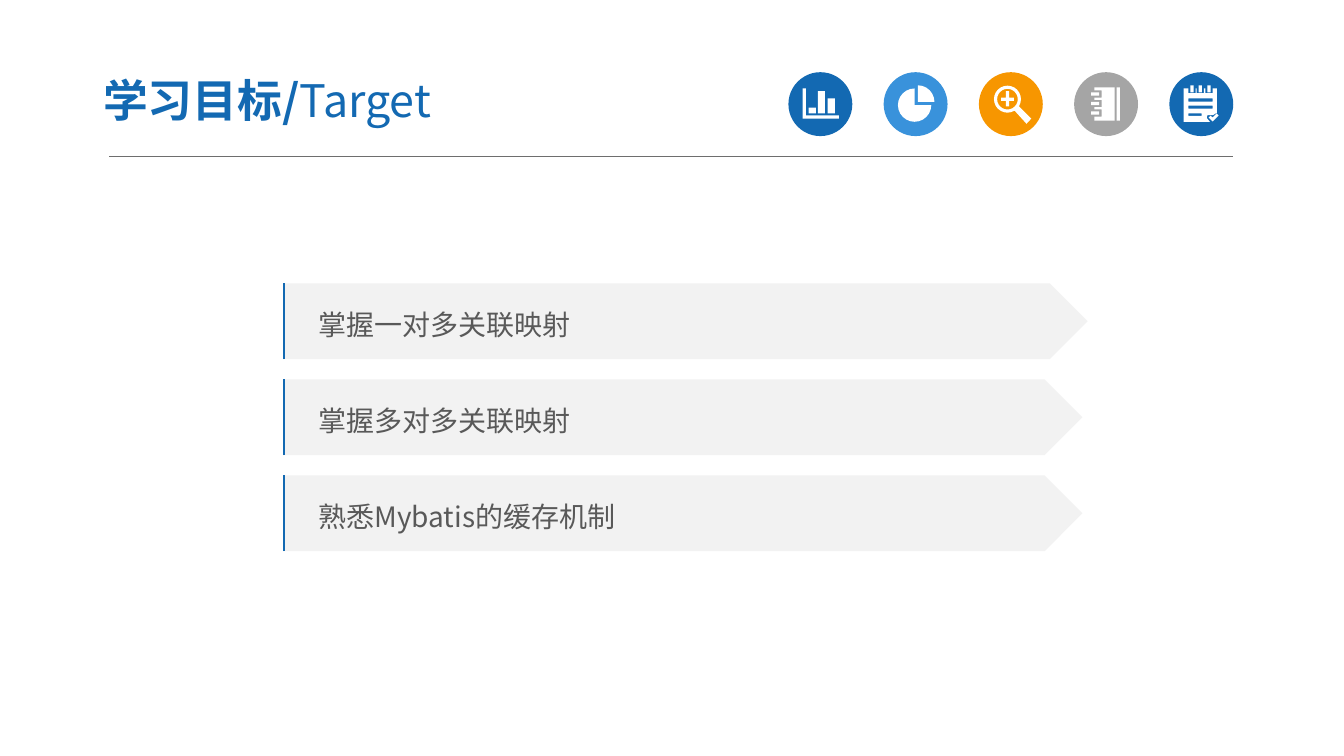
from math import cos, radians, sin
from lxml.etree import SubElement
from pptx import Presentation
from pptx.dml.color import RGBColor
from pptx.enum.shapes import MSO_CONNECTOR, MSO_SHAPE
from pptx.enum.text import MSO_ANCHOR, MSO_AUTO_SIZE, PP_ALIGN
from pptx.oxml.ns import qn
from pptx.util import Cm, Pt

HUES = {"blue": "1369B2", "sky": "3992DB", "orange": "F79600", "gray": "A5A5A5",
        "white": "FFFFFF", "panel": "F2F2F2", "text": "595959", "rule": "6E6E6E"}
HUES = {name: RGBColor.from_string(code) for name, code in HUES.items()}
FACE = "Noto Sans CJK SC"

deck = Presentation()
deck.slide_width, deck.slide_height = Cm(33.87), Cm(19.05)
slide = deck.slides.add_slide(deck.slide_layouts[5])
shapes = slide.shapes


def paint(shape, hue):
    """Give a shape a plain fill without line or shadow."""
    shape.shadow.inherit = False
    shape.fill.solid()
    shape.fill.fore_color.rgb = HUES[hue]
    shape.line.fill.background()


def bow(x, y, size, start=0, end=360):
    """Return points on an arc around x, y, clockwise in degrees."""
    turns = [radians(angle) for angle in range(start, end + 1, 15)]
    return [(x + size * cos(turn), y + size * sin(turn)) for turn in turns]


# Rule under the title
rule = shapes.add_connector(MSO_CONNECTOR.STRAIGHT, Cm(2.75), Cm(3.93), Cm(31.07), Cm(3.93))
rule.line.color.rgb = HUES["rule"]
rule.line.width = Pt(0.5)
SubElement(rule._element.spPr, qn("a:effectLst"))

# Icons: boxes as x, y, width, height and outlines as points, in cm within a disc
chart = [(0.36, 0.41, 0.08, 0.68), (0.36, 1.09, 0.91, 0.08), (0.51, 0.89, 0.18, 0.15),
         (0.74, 0.48, 0.18, 0.56), (0.99, 0.66, 0.18, 0.38)]
share = [[(0.78, 0.83)] + bow(0.78, 0.83, 0.42, 0, 270),
         [(0.86, 0.75)] + bow(0.86, 0.75, 0.42, 270, 360)]
plus = [(0.68, 0.48, 0.08, 0.38), (0.56, 0.64, 0.12, 0.08), (0.76, 0.64, 0.12, 0.08)]
lens = [bow(0.72, 0.68, 0.34), bow(0.72, 0.68, 0.26),
        [(0.9, 0.97), (1.01, 0.86), (1.32, 1.17), (1.2, 1.3)]]
strips = [(1.07, 0.38, 0.08, 0.84)]
page = [(1.02, 1.22), (1.02, 0.38), (0.51, 0.38)]
for y in (0.46, 0.7, 0.94):
    strips.append((0.43, y + 0.05, 0.2, 0.08))
    page += [(0.51, y), (0.69, y), (0.69, y + 0.18), (0.51, y + 0.18)]
page.append((0.51, 1.22))
notes = [(0.48, 0.66, 0.61, 0.08), (0.48, 0.84, 0.61, 0.08), (0.48, 1.04, 0.33, 0.06)]
sheet = [(0.36, 1.25), (0.36, 0.41)]
for x in (0.48, 0.69, 0.91):
    notes.append((x + 0.05, 0.33, 0.08, 0.18))
    sheet += [(x, 0.41), (x, 0.53), (x + 0.18, 0.53), (x + 0.18, 0.41)]
sheet += [(1.2, 0.41), (1.2, 1.02), (1.1, 1.08), (0.96, 1.08), (0.94, 1.15), (1.02, 1.25)]
tick = [(0.99, 1.14), (1.04, 1.1), (1.09, 1.14), (1.19, 1.04), (1.24, 1.09), (1.09, 1.24)]

icons = [("blue", chart, []), ("sky", [], share), ("orange", plus, lens),
         ("gray", strips, [page]), ("blue", notes, [sheet, tick])]
for spot, (hue, boxes, forms) in enumerate(icons):
    left, top = 19.87 + 2.4 * spot, 1.82
    disc = shapes.add_shape(MSO_SHAPE.OVAL, Cm(left), Cm(top), Cm(1.61), Cm(1.61))
    paint(disc, hue)
    rings = forms + [[(x, y), (x + w, y), (x + w, y + h), (x, y + h)] for x, y, w, h in boxes]
    pen = None
    for ring in rings:
        points = [(Cm(left + x), Cm(top + y)) for x, y in ring]
        if pen:
            pen.move_to(*points[0])
        else:
            pen = shapes.build_freeform(*points[0])
        pen.add_line_segments(points[1:])
    paint(pen.convert_to_shape(), "white")

# Title
title = shapes.title
title.left, title.top, title.width, title.height = Cm(2.27), Cm(1.6), Cm(13.26), Cm(1.83)
frame = title.text_frame
settings = {"vertical_anchor": MSO_ANCHOR.MIDDLE, "auto_size": MSO_AUTO_SIZE.NONE,
            "word_wrap": True, "margin_left": Cm(0.33), "margin_right": Cm(0.33),
            "margin_top": Cm(0.18), "margin_bottom": Cm(0.18)}
for key, value in settings.items():
    setattr(frame, key, value)
head = frame.paragraphs[0]
head.alignment = PP_ALIGN.LEFT
texts = [(head, "学习目标/", "blue", {"size": Pt(32), "bold": True}),
         (head, "Target", "blue", {"size": Pt(32), "bold": False})]

# Goals
goals = [("掌握一对多关联映射", 20.27), ("掌握多对多关联映射", 20.14),
         ("熟悉Mybatis的缓存机制", 20.14)]
for row, (text, width) in enumerate(goals):
    top = 7.14 + 2.42 * row
    panel = shapes.add_shape(MSO_SHAPE.PENTAGON, Cm(7.14), Cm(top), Cm(width), Cm(1.91))
    paint(panel, "panel")
    frame = panel.text_frame
    frame.vertical_anchor = MSO_ANCHOR.MIDDLE
    frame.margin_left = Cm(0.88)
    goal = frame.paragraphs[0]
    goal.alignment, goal.line_spacing = PP_ALIGN.LEFT, 1.2
    texts.append((goal, text, "text", {"size": Pt(20)}))

    pen = shapes.build_freeform(Cm(7.16), Cm(top + 1.91))
    pen.add_line_segments([(Cm(7.16), Cm(top))], close=False)
    pen.move_to(Cm(7.46), Cm(top))
    edge = pen.convert_to_shape()
    edge.shadow.inherit = False
    edge.fill.background()
    edge.line.color.rgb = HUES["blue"]
    edge.line.width = Pt(1.5)

for line, text, hue, form in texts:
    run = line.add_run()
    run.text = text
    run.font.name = FACE
    run.font.color.rgb = HUES[hue]
    for key, value in form.items():
        setattr(run.font, key, value)
    SubElement(run.font._element, qn("a:ea"), typeface=FACE)

deck.save("out.pptx")
